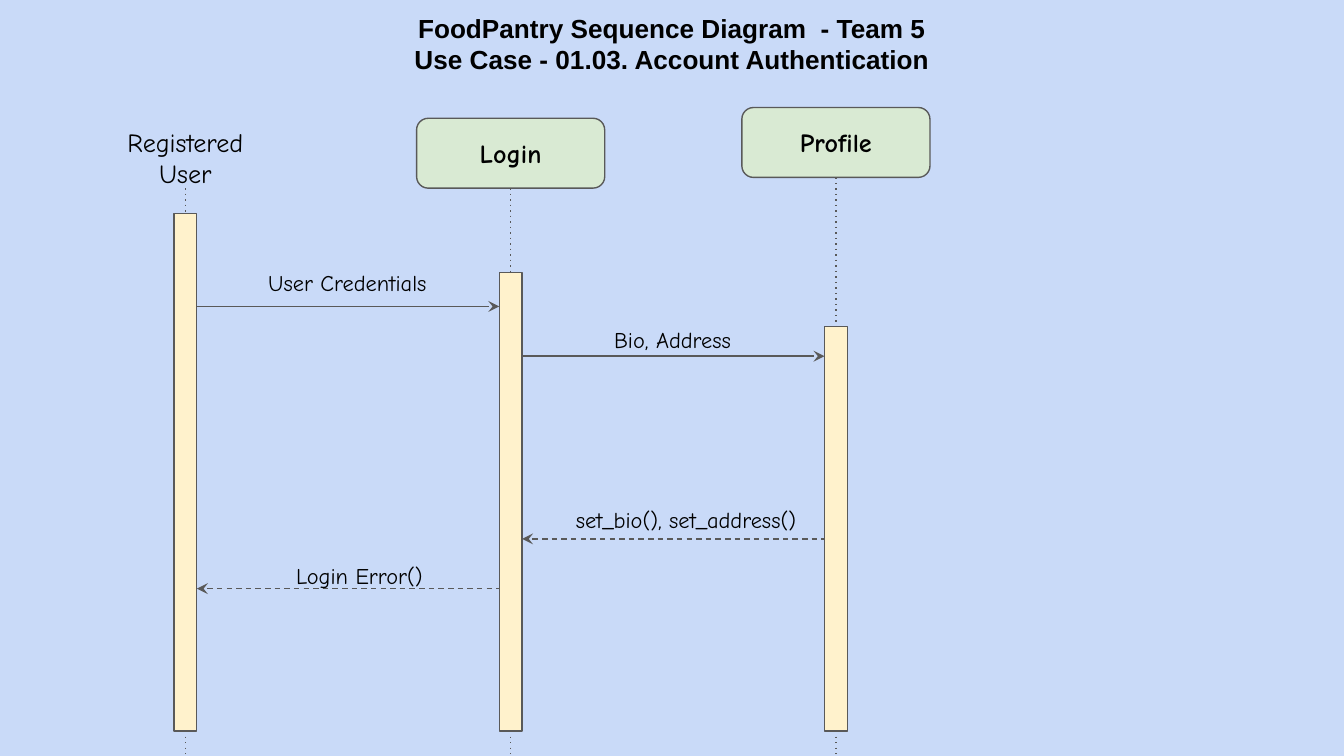
import pptx
import pptx.util
import pptx.dml.color
import pptx.enum.shapes
import pptx.enum.text
import pptx.oxml.ns
from lxml import etree

Inches = pptx.util.Inches
SHAPE = pptx.enum.shapes.MSO_SHAPE
ANCHOR = pptx.enum.text.MSO_ANCHOR
COLORS = {"bg": "C9DAF8", "box": "D9EAD3", "bar": "FFF2CC", "line": "595959", "text": "000000"}
BAR_W = 0.17
BAR_BOTTOM = 5.44
SLIDE_W = 10
SLIDE_H = SLIDE_W * 9 / 16


def rgb(name):
    """Return the named colour."""
    return pptx.dml.color.RGBColor.from_string(COLORS[name])


def write(sp, text, size, font="Comic Neue", bold=False, anchor=ANCHOR.MIDDLE):
    """Put centred text into a shape, one paragraph for each line."""
    tf = sp.text_frame
    tf.word_wrap = True
    tf.vertical_anchor = anchor
    tf.margin_left = tf.margin_right = tf.margin_top = tf.margin_bottom = Inches(0.1)
    tf.text = text
    for p in tf.paragraphs:
        p.alignment = pptx.enum.text.PP_ALIGN.CENTER
        p.font.name = font
        p.font.size = pptx.util.Pt(size)
        p.font.bold = bold
        p.font.color.rgb = rgb("text")


def add_label(s, box, text, size, **style):
    """Add a text box."""
    write(s.shapes.add_textbox(*map(Inches, box)), text, size, **style)


def add_box(s, kind, box, fill):
    """Add a filled and outlined shape."""
    sp = s.shapes.add_shape(kind, *map(Inches, box))
    sp.shadow.inherit = False
    sp.fill.solid()
    sp.fill.fore_color.rgb = rgb(fill)
    sp.line.color.rgb = rgb("line")
    sp.line.width = pptx.util.Pt(0.75)
    return sp


def add_line(s, x1, y1, x2, y2, dash="solid", arrow=None):
    """Add a straight line, with an arrowhead at headEnd or tailEnd if asked."""
    qn = pptx.oxml.ns.qn
    cx = s.shapes.add_connector(
        pptx.enum.shapes.MSO_CONNECTOR.STRAIGHT, *map(Inches, (x1, y1, x2, y2)))
    cx.line.color.rgb = rgb("line")
    cx.line.width = pptx.util.Pt(0.75)
    ln = cx.line._get_or_add_ln()
    etree.SubElement(ln, qn("a:prstDash"), val=dash)
    if arrow:
        etree.SubElement(ln, qn(f"a:{arrow}"), type="stealth", w="med", len="med")
    etree.SubElement(cx._element.spPr, qn("a:effectLst"))


def add_lifeline(s, x, top, bar_top):
    """Draw a dotted lifeline centred on x with its activation bar."""
    add_line(s, x, top, x, bar_top, dash="dot")
    add_line(s, x, BAR_BOTTOM, x, SLIDE_H, dash="dot")
    add_box(s, SHAPE.RECTANGLE, (x - BAR_W / 2, bar_top, BAR_W, BAR_BOTTOM - bar_top), "bar")


def add_actor(s, x, top, text):
    """Add the name of an actor centred on x."""
    add_label(s, (x - 0.62, top, 1.24, 0.33), text, 14, anchor=ANCHOR.TOP)


def add_participant(s, x, top, text):
    """Add a rounded participant box centred on x."""
    sp = add_box(s, SHAPE.ROUNDED_RECTANGLE, (x - 0.7, top, 1.4, 0.52), "box")
    write(sp, text, 14, bold=True)


def add_message(s, left, right, y, text, label, reply=False):
    """Draw a message between two lifelines; a reply is dashed and points left."""
    dash, arrow = ("dash", "headEnd") if reply else ("solid", "tailEnd")
    add_line(s, left + BAR_W / 2, y, right - BAR_W / 2, y, dash, arrow)
    x, top, height = label
    add_label(s, (x, top, 2.23, height), text, 12)


def main():
    """Build the sequence diagram slide."""
    prs = pptx.Presentation()
    prs.slide_width, prs.slide_height = Inches(SLIDE_W), Inches(SLIDE_H)
    s = prs.slides.add_slide(prs.slide_layouts[6])
    s.background.fill.solid()
    s.background.fill.fore_color.rgb = rgb("bg")

    title = "FoodPantry Sequence Diagram  - Team 5\nUse Case - 01.03. Account Authentication"
    add_label(s, (0, -0.01, SLIDE_W, 0.61), title, 14, font="Arial", bold=True, anchor=ANCHOR.TOP)

    user, login, profile = (1.38 + 2.42 * i for i in range(3))
    for x, top, bar_top in ((user, 1.4, 1.59), (login, 1.4, 2.03), (profile, 1.32, 2.43)):
        add_lifeline(s, x, top, bar_top)
    add_actor(s, user, 0.84, "Registered User")
    add_participant(s, login, 0.88, "Login")
    add_participant(s, profile, 0.8, "Profile")

    add_message(s, user, login, 2.28, "User Credentials", (1.47, 1.92, 0.36))
    add_message(s, login, profile, 2.65, "Bio, Address", (3.89, 2.36, 0.33))
    add_message(s, login, profile, 4.01, "set_bio(), set_address()", (3.99, 3.7, 0.33), reply=True)
    add_message(s, user, login, 4.38, "Login Error()", (1.56, 4.11, 0.34), reply=True)
    prs.save("out.pptx")


if __name__ == "__main__":
    main()
